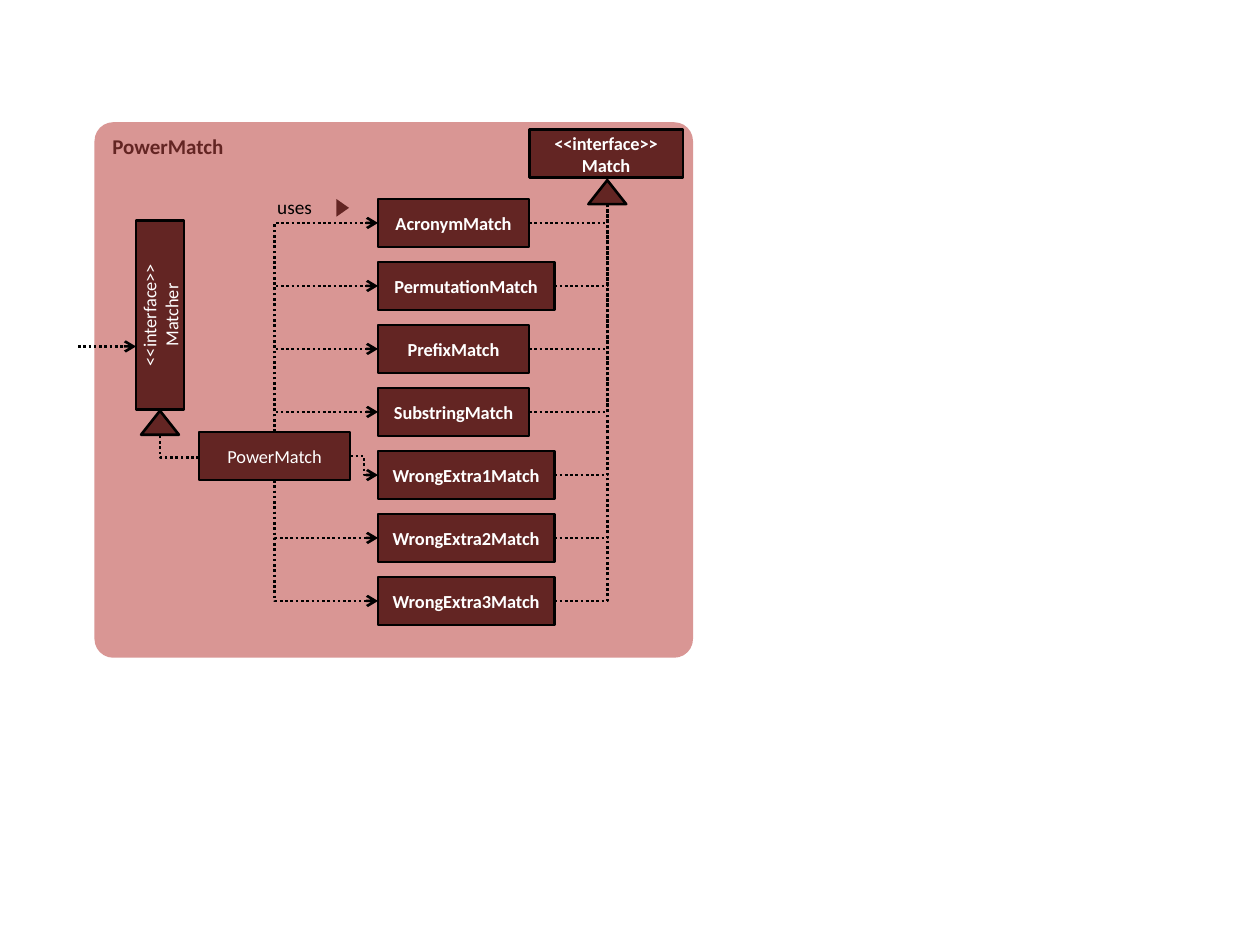
from typing import NamedTuple, Optional

import lxml.etree
import pptx
import pptx.dml.color
import pptx.enum.dml
import pptx.enum.shapes
import pptx.enum.text
import pptx.oxml.ns
import pptx.util

Inches = pptx.util.Inches
SHAPES = pptx.enum.shapes.MSO_SHAPE
ALIGN = pptx.enum.text.PP_ALIGN
ANCHOR = pptx.enum.text.MSO_ANCHOR

DARK, PINK, WHITE, BLACK = "632523", "D99694", "FFFFFF", "000000"
FONT = "Calibri"
BOX_HEIGHT = 0.38


class Box(NamedTuple):
    text: str
    left: float
    top: float
    width: float
    bold: bool = True
    rotation: float = 0

    @property
    def right(self) -> float:
        return self.left + self.width

    @property
    def middle(self) -> float:
        return self.top + BOX_HEIGHT / 2


class Point(NamedTuple):
    x: float
    y: float


def rgb(color: str) -> pptx.dml.color.RGBColor:
    return pptx.dml.color.RGBColor.from_string(color)


def write(shape, text: str, size: float, color: str, bold: bool = False, align=ALIGN.CENTER) -> None:
    frame = shape.text_frame
    frame.word_wrap = True
    frame.text = text
    for paragraph in frame.paragraphs:
        paragraph.alignment = align
        for run in paragraph.runs:
            run.font.name = FONT
            run.font.size = pptx.util.Pt(size)
            run.font.bold = bold
            run.font.color.rgb = rgb(color)


def add_figure(shapes, kind, left: float, top: float, width: float, height: float,
               fill: str = DARK, outline: Optional[str] = BLACK):
    shape = shapes.add_shape(kind, Inches(left), Inches(top), Inches(width), Inches(height))
    shape.shadow.inherit = False
    shape.fill.solid()
    shape.fill.fore_color.rgb = rgb(fill)
    if outline:
        shape.line.color.rgb = rgb(outline)
        shape.line.width = pptx.util.Pt(1.5)
    else:
        shape.line.fill.background()
    return shape


def add_box(shapes, box: Box) -> None:
    shape = add_figure(shapes, SHAPES.RECTANGLE, box.left, box.top, box.width, BOX_HEIGHT)
    shape.rotation = box.rotation
    shape.text_frame.vertical_anchor = ANCHOR.MIDDLE
    write(shape, box.text, 10.5, WHITE, box.bold)


def add_elbow(shapes, start: Point, end: Point, arrow: bool = False,
              corner: bool = True, vertical_first: bool = False) -> None:
    """Draw a dotted elbow with one corner, or with two when corner is False."""
    begin, finish, rotation = start, end, 0
    if vertical_first:
        # A turned elbow lies in a frame with its sides swapped about the same centre.
        center = Point((start.x + end.x) / 2, (start.y + end.y) / 2)
        half_width, half_height = abs(end.y - start.y) / 2, (end.x - start.x) / 2
        upward = end.y < start.y
        rise = half_height if upward else -half_height
        begin = Point(center.x + half_width, center.y + rise)
        finish = Point(center.x - half_width, center.y - rise)
        rotation = 90 if upward else 270
    connector = shapes.add_connector(
        pptx.enum.shapes.MSO_CONNECTOR.ELBOW,
        Inches(begin.x), Inches(begin.y), Inches(finish.x), Inches(finish.y))
    connector.line.color.rgb = rgb(BLACK)
    connector.line.width = pptx.util.Pt(1.5)
    connector.line.dash_style = pptx.enum.dml.MSO_LINE.ROUND_DOT

    qn = pptx.oxml.ns.qn
    properties = connector.element.spPr
    if rotation:
        properties.find(qn("a:xfrm")).set("rot", str(rotation * 60000))
    if corner:
        properties.find(qn("a:prstGeom")).set("prst", "bentConnector2")
    if arrow:
        lxml.etree.SubElement(properties.find(qn("a:ln")), qn("a:tailEnd")).set("type", "arrow")
    lxml.etree.SubElement(properties, qn("a:effectLst"))


MATCHER = Box("<<interface>>\nMatcher", 0.52, 2.31, 1.5, bold=False, rotation=270)
POWER_MATCH = Box("PowerMatch", 1.58, 3.43, 1.2, bold=False)
MATCH = Box("<<interface>>\vMatch", 4.2, 1.03, 1.22)
MATCH_CLASSES = [
    Box(name, 3, 1.58 + 0.5 * row, width)
    for row, (name, width) in enumerate([
        ("AcronymMatch", 1.2),
        ("PermutationMatch", 1.4),
        ("PrefixMatch", 1.2),
        ("SubstringMatch", 1.2),
        ("WrongExtra1Match", 1.4),
        ("WrongExtra2Match", 1.4),
        ("WrongExtra3Match", 1.4),
    ])
]


def add_uses_label(shapes) -> None:
    group = shapes.add_group_shape()
    label = group.shapes.add_textbox(Inches(2.2), Inches(1.55), Inches(0.61), Inches(0.28))
    frame = label.text_frame
    frame.margin_left = frame.margin_right = frame.margin_top = frame.margin_bottom = 0
    write(label, "uses", 11, BLACK, align=ALIGN.LEFT)
    pointer = add_figure(group.shapes, SHAPES.ISOSCELES_TRIANGLE, 2.65, 1.6, 0.14, 0.1, outline=None)
    pointer.rotation = 90


def main() -> None:
    presentation = pptx.Presentation()
    presentation.slide_width, presentation.slide_height = Inches(10), Inches(7.5)
    shapes = presentation.slides.add_slide(presentation.slide_layouts[6]).shapes

    # Package panel
    panel = add_figure(shapes, SHAPES.ROUNDED_RECTANGLE, 0.75, 0.97, 4.75, 4.25, PINK, None)
    panel.adjustments[0] = 0.035
    panel.text_frame.vertical_anchor = ANCHOR.TOP
    write(panel, "PowerMatch", 12, DARK, bold=True, align=ALIGN.LEFT)

    # Matcher interface, its caller and its implementation
    add_box(shapes, MATCHER)
    add_elbow(shapes, Point(0.62, 2.75), Point(1.08, 2.75), arrow=True, corner=False)
    add_box(shapes, POWER_MATCH)
    add_figure(shapes, SHAPES.ISOSCELES_TRIANGLE, 1.12, 3.26, 0.3, 0.19)
    add_elbow(shapes, Point(POWER_MATCH.left, 3.63), Point(1.27, 3.46))

    # Match interface and the match classes
    for box in [MATCH, *MATCH_CLASSES]:
        add_box(shapes, box)

    # PowerMatch uses every match class
    center_x = POWER_MATCH.left + POWER_MATCH.width / 2
    bottom = POWER_MATCH.top + BOX_HEIGHT
    for box in MATCH_CLASSES:
        target = Point(box.left, box.middle)
        if POWER_MATCH.top < target.y < bottom:
            side = Point(POWER_MATCH.right, POWER_MATCH.middle)
            add_elbow(shapes, side, target, arrow=True, corner=False)
        else:
            edge = POWER_MATCH.top if target.y < POWER_MATCH.top else bottom
            add_elbow(shapes, Point(center_x, edge), target, arrow=True, vertical_first=True)
    add_uses_label(shapes)

    # Every match class implements Match
    add_figure(shapes, SHAPES.ISOSCELES_TRIANGLE, 4.67, 1.43, 0.3, 0.19)
    for box in MATCH_CLASSES:
        add_elbow(shapes, Point(box.right, box.middle), Point(4.82, 1.62))

    presentation.save("out.pptx")


if __name__ == "__main__":
    main()
